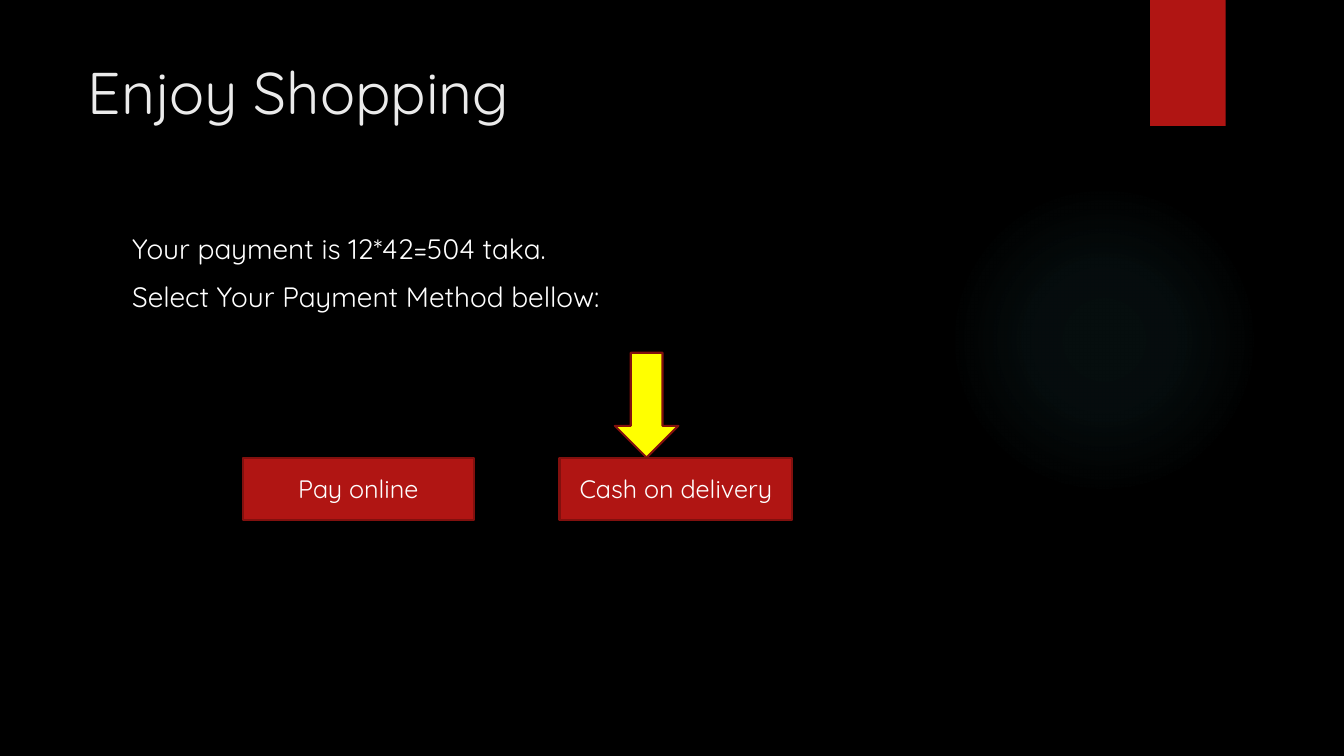
from dataclasses import dataclass

from lxml import etree
from pptx import Presentation
from pptx import util as u
from pptx.dml.color import RGBColor
from pptx.enum import shapes, text
from pptx.oxml import ns

# Content
TITLE = "Enjoy Shopping"
BODY = ["Your payment is 12*42=504 taka.", "Select Your Payment Method bellow:"]

# Places as (column, row, columns, rows) on a grid of tenth-inch cells
CELL = 0.1
COLUMNS, ROWS = 133.33, 75
GLOW = (94.1, 18.3, 30.8, 30.8)
RIBBON = (114.1, 0, 7.5, 12.5)
TITLE_AREA = (7.7, 5, 102.2, 10)
BODY_AREA = (12.1, 22.5, 97.8, 45.9)
BUTTON_ROW, BUTTON_HEIGHT = 45.4, 6.2
BUTTONS = [("Pay online", 24.1, 22.9), ("Cash on delivery", 55.5, 23.1)]
ARROW_LEFT, ARROW_WIDTH, ARROW_HEIGHT = 61, 6.3, 10.4
GLOW_STOPS = [(0, 7), (36, 6), (69, 0)]  # position %, opacity %


@dataclass(frozen=True)
class Theme:
    font: str = "Quicksand"
    background: str = "000000"
    title: str = "EBEBEB"
    text: str = "FFFFFF"
    accent: str = "B01513"
    outline: str = "82100E"
    pointer: str = "FFFF00"
    glow: str = "50B9C1"
    title_size: int = 42
    body_size: int = 20
    button_size: int = 18
    line_width: float = 1.5


THEME = Theme()


def grid(*cells):
    return [u.Inches(cell * CELL) for cell in cells]


def style(paragraph, size, color, alignment):
    paragraph.alignment = alignment
    paragraph.font.name = THEME.font
    paragraph.font.size = u.Pt(size)
    paragraph.font.color.rgb = RGBColor.from_string(color)


def add_block(slide, kind, area, fill, outline=None):
    shape = slide.shapes.add_shape(kind, *grid(*area))
    shape.shadow.inherit = False
    shape.fill.solid()
    shape.fill.fore_color.rgb = RGBColor.from_string(fill)
    if outline:
        shape.line.color.rgb = RGBColor.from_string(outline)
        shape.line.width = u.Pt(THEME.line_width)
    else:
        shape.line.fill.background()
    return shape


def add_glow(slide):
    shape = add_block(slide, shapes.MSO_SHAPE.OVAL, GLOW, THEME.glow)
    stops = "".join(
        f'<a:gs pos="{position * 1000}"><a:srgbClr val="{THEME.glow}">'
        f'<a:alpha val="{opacity * 1000}"/></a:srgbClr></a:gs>'
        for position, opacity in GLOW_STOPS)
    gradient = etree.fromstring(
        f'<a:gradFill {ns.nsdecls("a")}><a:gsLst>{stops}</a:gsLst>'
        '<a:path path="circle"><a:fillToRect l="50000" t="50000" r="50000" b="50000"/>'
        '</a:path></a:gradFill>')
    properties = shape._element.spPr
    properties.replace(properties.find(ns.qn("a:solidFill")), gradient)


def fill_placeholder(shape, area, lines, size, color):
    shape.left, shape.top, shape.width, shape.height = grid(*area)
    frame = shape.text_frame
    frame.text = "\n".join(lines)
    frame.vertical_anchor = text.MSO_ANCHOR.TOP
    frame.auto_size = text.MSO_AUTO_SIZE.NONE
    for index, paragraph in enumerate(frame.paragraphs):
        properties = paragraph._p.get_or_add_pPr()
        properties.set("marL", "0")
        properties.set("indent", "0")
        etree.SubElement(properties, ns.qn("a:buNone"))
        paragraph.space_before = u.Pt(10 if index else 0)
        style(paragraph, size, color, text.PP_ALIGN.LEFT)


def main():
    presentation = Presentation()
    presentation.slide_width, presentation.slide_height = grid(COLUMNS, ROWS)
    slide = presentation.slides.add_slide(presentation.slide_layouts[1])
    slide.background.fill.solid()
    slide.background.fill.fore_color.rgb = RGBColor.from_string(THEME.background)

    # Backdrop
    add_glow(slide)
    add_block(slide, shapes.MSO_SHAPE.RECTANGLE, RIBBON, THEME.accent)

    # Title and payment text
    fill_placeholder(slide.shapes.title, TITLE_AREA, [TITLE], THEME.title_size, THEME.title)
    fill_placeholder(slide.placeholders[1], BODY_AREA, BODY, THEME.body_size, THEME.text)

    # Arrow standing on the chosen button
    arrow_area = (ARROW_LEFT, BUTTON_ROW - ARROW_HEIGHT, ARROW_WIDTH, ARROW_HEIGHT)
    add_block(slide, shapes.MSO_SHAPE.DOWN_ARROW, arrow_area, THEME.pointer, THEME.outline)

    # Payment buttons
    for label, left, width in BUTTONS:
        button = add_block(slide, shapes.MSO_SHAPE.RECTANGLE,
                           (left, BUTTON_ROW, width, BUTTON_HEIGHT),
                           THEME.accent, THEME.outline)
        button.text_frame.text = label
        button.text_frame.vertical_anchor = text.MSO_ANCHOR.MIDDLE
        style(button.text_frame.paragraphs[0], THEME.button_size, THEME.text,
              text.PP_ALIGN.CENTER)

    presentation.save("out.pptx")


if __name__ == "__main__":
    main()
